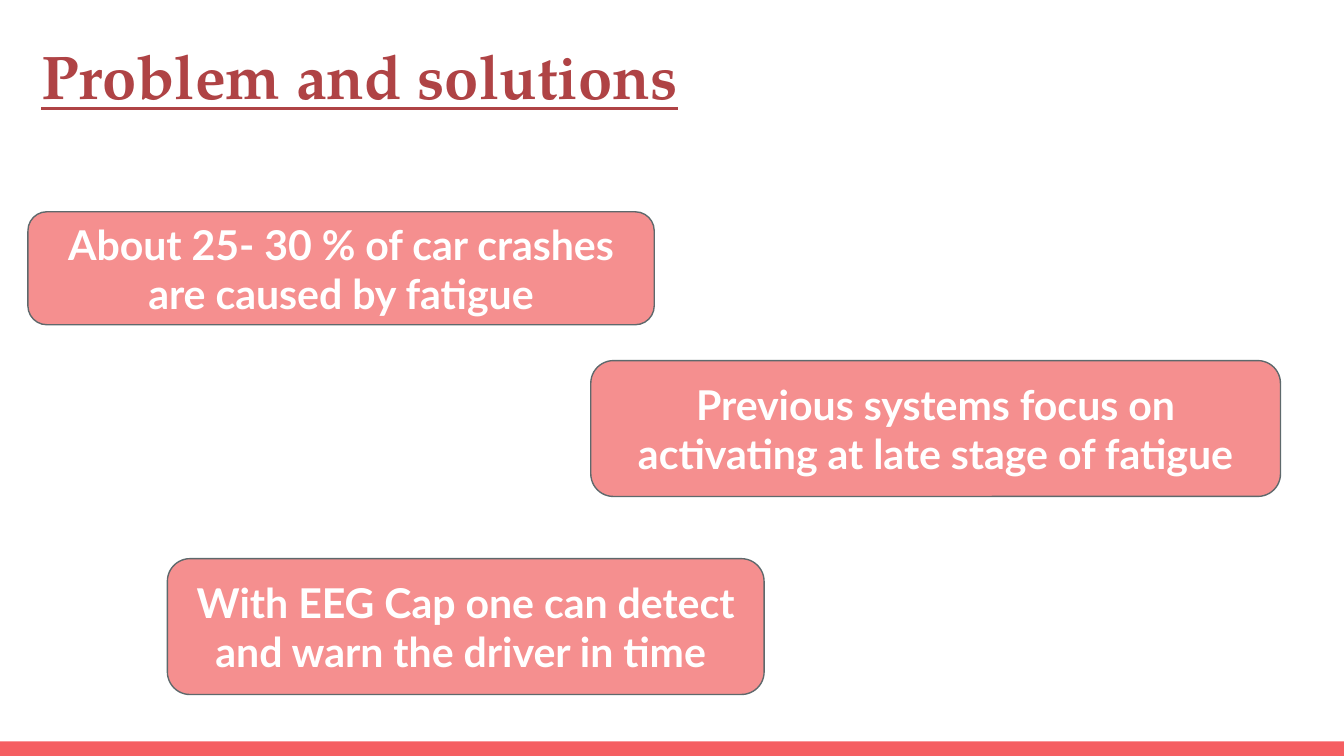
"""Build the "Problem and solutions" slide."""
from pptx import Presentation
from pptx.dml.color import RGBColor
from pptx.enum.shapes import MSO_SHAPE
from pptx.enum.text import MSO_ANCHOR, PP_ALIGN
from pptx.util import Pt

RECT, ROUNDED = MSO_SHAPE.RECTANGLE, MSO_SHAPE.ROUNDED_RECTANGLE
TOP, MIDDLE = MSO_ANCHOR.TOP, MSO_ANCHOR.MIDDLE
LEFT, CENTER = PP_ALIGN.LEFT, PP_ALIGN.CENTER

COLORS = {
    "title": "AF4345",
    "bar": "F55E61",
    "card": "F58F8F",
    "outline": "5E696C",
    "card_text": "FFFFFF",
}
TITLE_FONT = {"name": "TeX Gyre Pagella", "size": Pt(33), "bold": True, "underline": True}
CARD_FONT = {"name": "Lato", "size": Pt(22), "bold": True}
INSET = 7.2

CARDS = [
    ((15, 113.5, 335.5, 60.5), "About 25- 30 % of car crashes are caused by fatigue"),
    ((316.5, 193.2, 369.5, 72.8), "Previous systems focus on activating at late stage of fatigue"),
    ((89.7, 299.3, 319.7, 72.8), "With EEG Cap one can detect and warn the driver in time "),
]


def rgb(key):
    return RGBColor.from_string(COLORS[key])


def write(shape, text, font, color, align, anchor):
    tf = shape.text_frame
    frame = {"word_wrap": True, "vertical_anchor": anchor}
    for side in ("left", "right", "top", "bottom"):
        frame["margin_" + side] = Pt(INSET)
    for name, value in frame.items():
        setattr(tf, name, value)
    p = tf.paragraphs[0]
    p.alignment = align
    r = p.add_run()
    r.text = text
    for name, value in font.items():
        setattr(r.font, name, value)
    r.font.color.rgb = rgb(color)


def add_title(s, box, text):
    tb = s.shapes.add_textbox(*map(Pt, box))
    write(tb, text, TITLE_FONT, "title", LEFT, TOP)


def add_block(s, kind, box, fill):
    sp = s.shapes.add_shape(kind, *map(Pt, box))
    sp.shadow.inherit = False
    sp.fill.solid()
    sp.fill.fore_color.rgb = rgb(fill)
    sp.line.fill.background()
    return sp


def add_card(s, box, text):
    sp = add_block(s, ROUNDED, box, "card")
    sp.line.color.rgb = rgb("outline")
    sp.line.width = Pt(0.75)
    write(sp, text, CARD_FONT, "card_text", CENTER, MIDDLE)


def main():
    prs = Presentation()
    prs.slide_width, prs.slide_height = Pt(720), Pt(405)
    s = prs.slides.add_slide(prs.slide_layouts[6])
    add_block(s, RECT, (0, 397.2, 720, 7.8), "bar")
    add_title(s, (15, 13, 671, 49), "Problem and solutions")
    for box, text in CARDS:
        add_card(s, box, text)
    prs.save("out.pptx")


if __name__ == "__main__":
    main()
